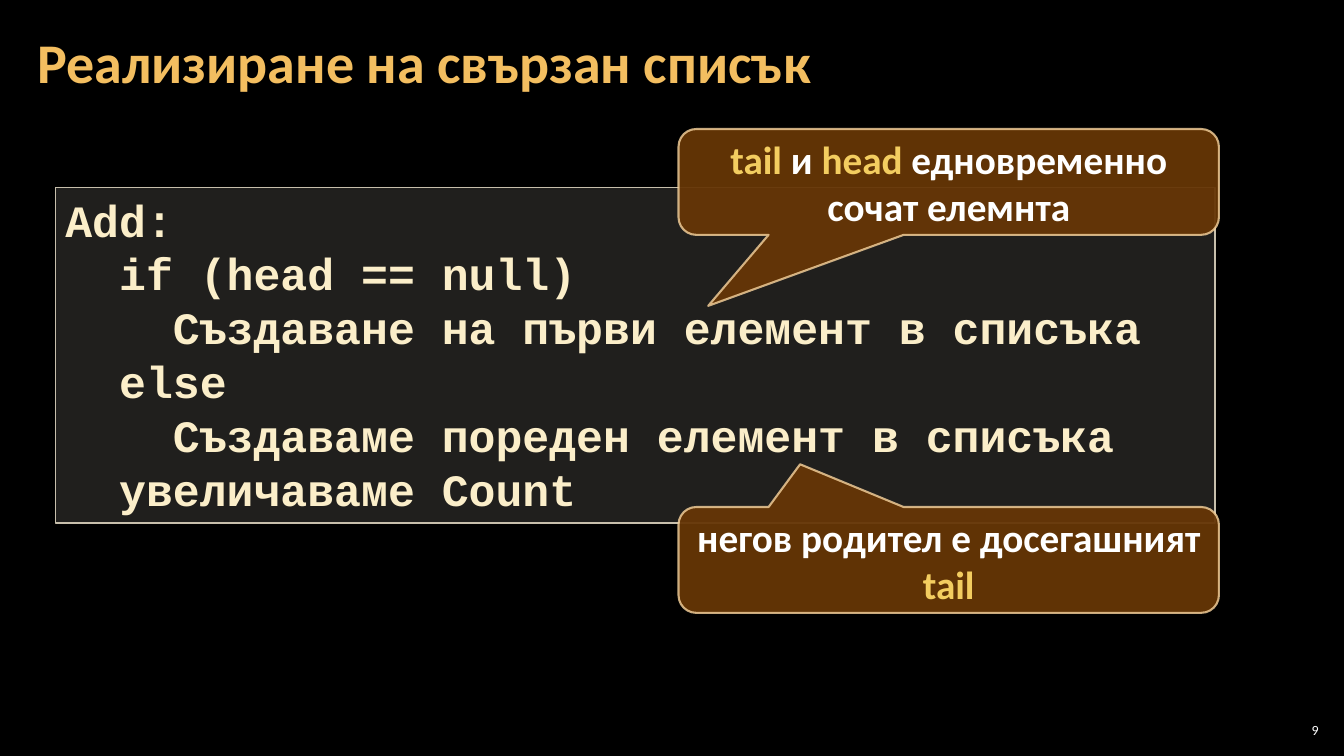
from lxml.etree import SubElement
from pptx import Presentation
from pptx.dml.color import RGBColor
from pptx.enum.shapes import MSO_SHAPE
from pptx.enum.text import MSO_ANCHOR, PP_ALIGN
from pptx.oxml.ns import qn
from pptx.util import Inches, Pt

WHITE, GOLD = "FFFFFF", "F3CD60"
CODE = """Add:
  if (head == null)
    Създаване на първи елемент в списъка
  else
    Създаваме пореден елемент в списъка
  увеличаваме Count"""


def rgb(value):
    """Turn a hex string into a colour."""
    return RGBColor.from_string(value)


def set_alpha(fill, percent):
    """Make a solid fill partly transparent."""
    color = fill._xPr.find(qn("a:solidFill"))[0]
    SubElement(color, qn("a:alpha"), val=str(percent * 1000))


def style_font(p, name, size, color, bold=True):
    """Set the font of a whole paragraph."""
    p.font.name, p.font.size, p.font.bold = name, Pt(size), bold
    p.font.color.rgb = rgb(color)


def add_panel(s, kind, box, fill, alpha, line, width):
    """Add a translucent outlined shape without shadow."""
    sp = s.shapes.add_shape(kind, *map(Inches, box))
    sp.shadow.inherit = False
    sp.fill.solid()
    sp.fill.fore_color.rgb = rgb(fill)
    set_alpha(sp.fill, alpha)
    sp.line.color.rgb = rgb(line)
    sp.line.width = Pt(width)
    sp.text_frame.word_wrap = True
    return sp


def add_label(s, box, text, size, color, margin, bold=True, align=PP_ALIGN.LEFT):
    """Add a line of text centred vertically in its box."""
    tf = s.shapes.add_textbox(*map(Inches, box)).text_frame
    tf.word_wrap = True
    tf.vertical_anchor = MSO_ANCHOR.MIDDLE
    tf.margin_left = tf.margin_right = Inches(margin)
    tf.margin_top = tf.margin_bottom = Inches(0.04)
    p = tf.paragraphs[0]
    p.text, p.alignment = text, align
    style_font(p, "Calibri", size, color, bold)


def add_code(s, box, code):
    """Add the pseudocode panel, one paragraph per line."""
    sp = add_panel(s, MSO_SHAPE.RECTANGLE, box, "D9D5C7", 15, "C7BFAC", 1)
    tf = sp.text_frame
    tf.vertical_anchor = MSO_ANCHOR.TOP
    tf.text = code
    for p in tf.paragraphs:
        p.alignment = PP_ALIGN.LEFT
        style_font(p, "Courier New", 32, "FBEEC9")


def add_callout(s, box, tip, runs):
    """Add a rounded callout whose tip is relative to its centre."""
    sp = add_panel(s, MSO_SHAPE.ROUNDED_RECTANGULAR_CALLOUT, box,
                   "663606", 95, "F8D49E", 1.5)
    set_alpha(sp.line.fill, 80)
    sp.adjustments[0], sp.adjustments[1] = tip
    sp.adjustments[2] = 0.167
    tf = sp.text_frame
    tf.vertical_anchor = MSO_ANCHOR.MIDDLE
    p = tf.paragraphs[0]
    p.alignment = PP_ALIGN.CENTER
    style_font(p, "Calibri", 28, WHITE)
    for text, color in runs:
        r = p.add_run()
        r.text = text
        r.font.color.rgb = rgb(color)


def build_slide(prs):
    """Build the linked list slide."""
    s = prs.slides.add_slide(prs.slide_layouts[6])
    s.background.fill.solid()
    s.background.fill.fore_color.rgb = rgb("000000")
    add_label(s, (0.25, 0, 10.47, 1.21), "Реализиране на свързан списък",
              40, "F3BE60", 0.12)
    add_code(s, (0.55, 1.86, 11.5, 3.33), CODE)
    callouts = [
        (1.28, (-0.445, 1.171), [("tail ", GOLD), ("и", WHITE), (" head", GOLD),
                                 (" едновременно сочат елемнта", WHITE)]),
        (5.03, (-0.275, -0.904), [("негов родител е досегашният ", WHITE),
                                  ("tail", GOLD)]),
    ]
    for top, tip, runs in callouts:
        add_callout(s, (6.73, top, 5.36, 1.05), tip, runs)
    add_label(s, (12.65, 7.14, 0.47, 0.21), "9", 10, WHITE, 0.04,
              bold=False, align=PP_ALIGN.RIGHT)


def main():
    """Create and save the presentation."""
    prs = Presentation()
    prs.slide_width, prs.slide_height = Inches(13.33), Inches(7.5)
    build_slide(prs)
    prs.save("out.pptx")


if __name__ == "__main__":
    main()
